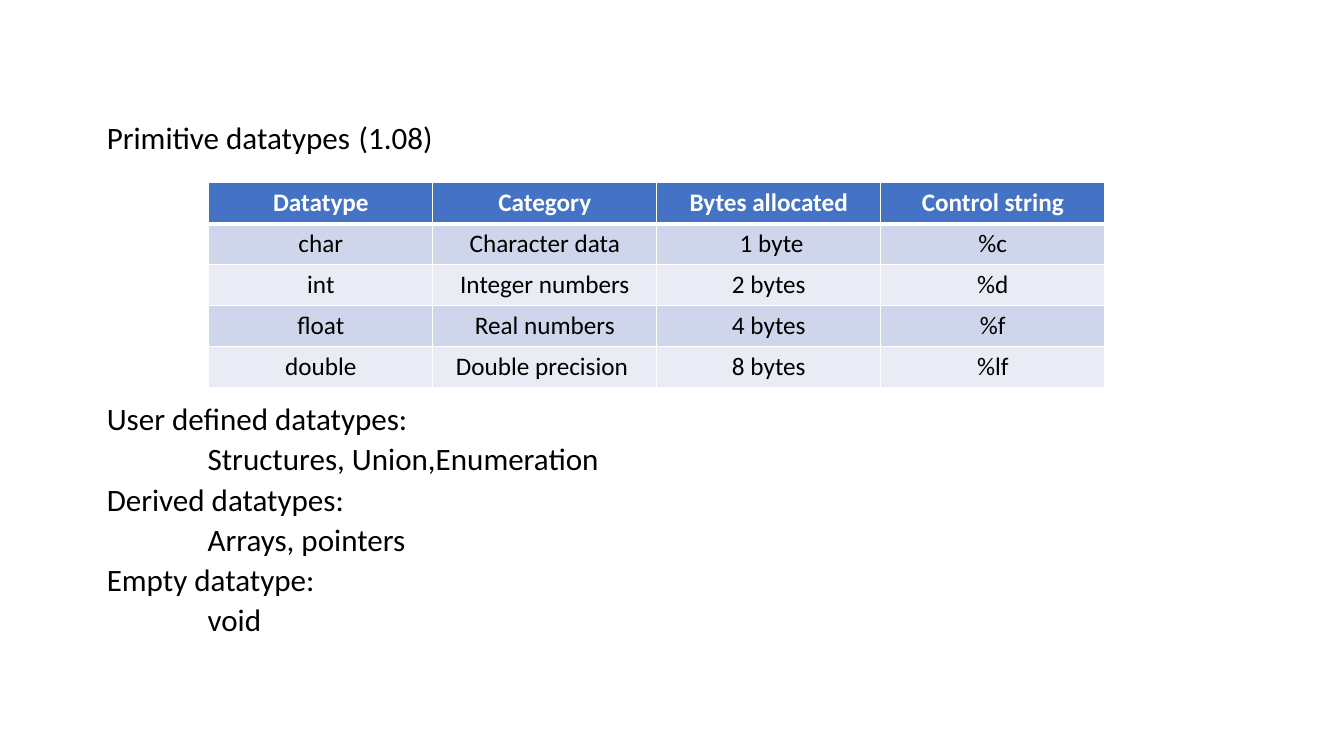
from lxml import etree
from pptx import Presentation
from pptx.dml.color import RGBColor
from pptx.enum.text import PP_ALIGN
from pptx.oxml.ns import qn
from pptx.util import Pt

CENTER = PP_ALIGN.CENTER
FONT = "Calibri"
BLACK, WHITE = "000000", "FFFFFF"
HEADER_FILL = "4472C4"
BAND_FILLS = ("CFD5EA", "E9EBF5")
TAB_WIDTH = 72

DATATYPES = [
    ("Datatype", "Category", "Bytes allocated", "Control string"),
    ("char", "Character data", " 1 byte", "%c"),
    ("int", "Integer numbers", "2 bytes", "%d"),
    ("float", "Real numbers", "4 bytes", "%f"),
    ("double", "Double precision ", "8 bytes", "%lf"),
]
OTHER_DATATYPES = [
    ("User defined datatypes:", 0),
    ("Structures, Union,Enumeration", 1),
    ("Derived datatypes:", 0),
    ("Arrays, pointers", 1),
    ("Empty datatype:", 0),
    ("void", 1),
]


def color(hex_string):
    return RGBColor.from_string(hex_string)


def format_runs(paragraph, size, hex_string, bold=False):
    for run in paragraph.runs:
        run.font.name = FONT
        run.font.size = Pt(size)
        run.font.bold = bold
        run.font.color.rgb = color(hex_string)


def add_lines(slide, left, top, width, height, lines):
    box = slide.shapes.add_textbox(Pt(left), Pt(top), Pt(width), Pt(height))
    text_frame = box.text_frame
    text_frame.word_wrap = True
    text_frame.text = "\n".join(text for text, level in lines)
    for paragraph, (text, level) in zip(text_frame.paragraphs, lines):
        paragraph.line_spacing = 0.7
        paragraph.space_before = Pt(10)
        if level:
            properties = paragraph._p.get_or_add_pPr()
            properties.set("marL", str(Pt(level * TAB_WIDTH)))
            properties.set("indent", "0")
        format_runs(paragraph, 22.2, BLACK)


def set_borders(cell, bottom_width):
    properties = cell._tc.get_or_add_tcPr()
    widths = {"a:lnL": 1, "a:lnR": 1, "a:lnT": 1, "a:lnB": bottom_width}
    for position, (tag, width) in enumerate(widths.items()):
        line = etree.Element(qn(tag), w=str(Pt(width)))
        fill = etree.SubElement(line, qn("a:solidFill"))
        etree.SubElement(fill, qn("a:srgbClr"), val=WHITE)
        properties.insert(position, line)


def add_datatype_table(slide, left, top, width, height, rows):
    frame = slide.shapes.add_table(
        len(rows), len(rows[0]), Pt(left), Pt(top), Pt(width), Pt(height))
    table = frame.table
    for row_index, row in enumerate(rows):
        header = row_index == 0
        for column_index, text in enumerate(row):
            cell = table.cell(row_index, column_index)
            cell.text_frame.text = text
            cell.fill.solid()
            cell.fill.fore_color.rgb = color(
                HEADER_FILL if header else BAND_FILLS[(row_index - 1) % 2])
            set_borders(cell, 3 if header else 1)
            paragraph = cell.text_frame.paragraphs[0]
            paragraph.alignment = CENTER
            format_runs(paragraph, 18, WHITE if header else BLACK, header)


def add_datatypes_slide(presentation):
    slide = presentation.slides.add_slide(presentation.slide_layouts[6])
    left, top, width = 69.2, 88.6, 720
    add_lines(slide, left, top, width, 30, [("Primitive datatypes\t(1.08)", 0)])
    add_datatype_table(slide, left + 80, top + 42, 640, 146, DATATYPES)
    add_lines(slide, left, top + 200.7, width, 180, OTHER_DATATYPES)


def main():
    presentation = Presentation()
    presentation.slide_width = Pt(960)
    presentation.slide_height = Pt(540)
    add_datatypes_slide(presentation)
    presentation.save("out.pptx")


if __name__ == "__main__":
    main()
